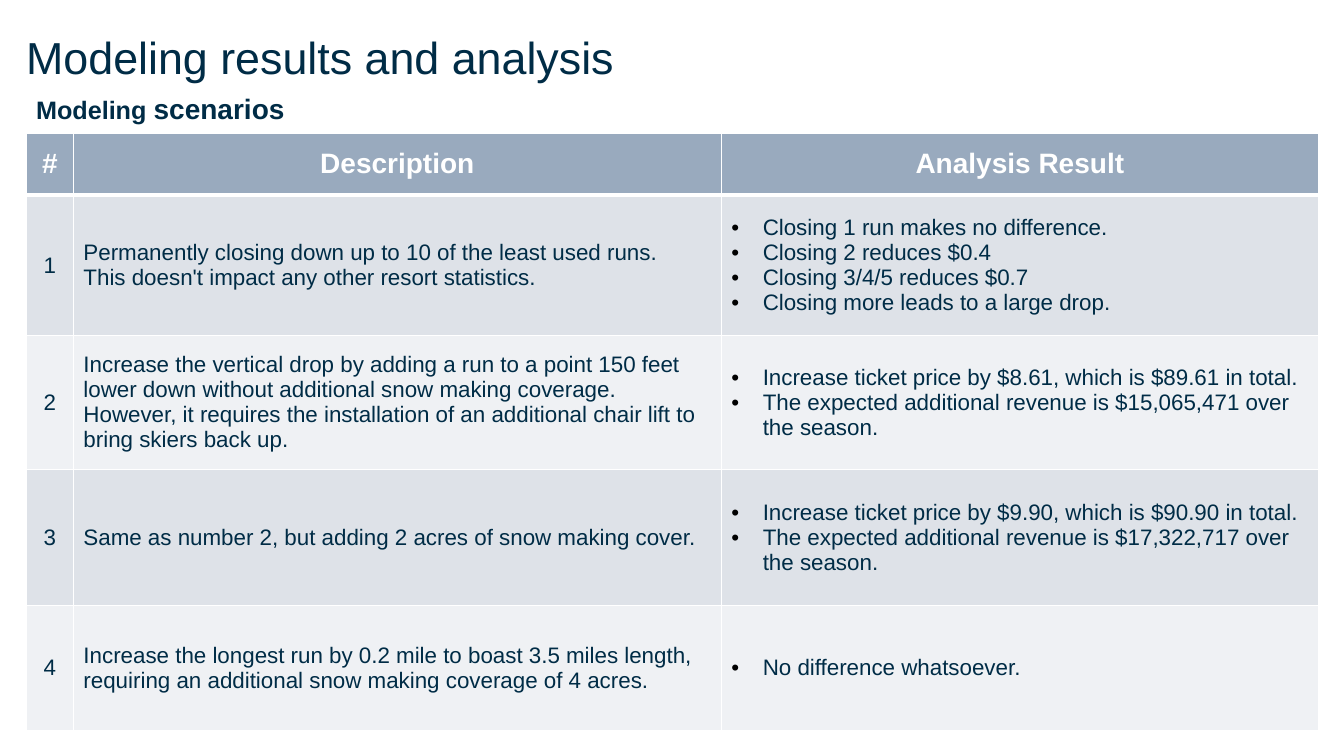
import pptx
import pptx.dml.color
import pptx.enum.text
import pptx.oxml.ns
import pptx.util
from dataclasses import dataclass
from lxml import etree

Cm = pptx.util.Cm
Pt = pptx.util.Pt
ALIGN = pptx.enum.text.PP_ALIGN
MIDDLE = pptx.enum.text.MSO_ANCHOR.MIDDLE


@dataclass(frozen=True)
class Theme:
    font: str = "Arial"
    navy: str = "002C46"
    white: str = "FFFFFF"
    black: str = "000000"
    header_fill: str = "99AABE"
    band_fills: tuple = ("DEE2E8", "EFF1F4")
    title_size: int = 32
    heading_size: int = 20
    subtitle_size: int = 18
    body_size: int = 16
    rule: int = 1
    header_rule: int = 3


COLUMN_WIDTHS = (1.19, 16.33, 15.05)
ROW_HEIGHTS = (1.57, 3.53, 3.38, 3.43, 3.15)
HEADINGS = ("#", "Description", "Analysis Result")
SCENARIOS = (
    (("Permanently closing down up to 10 of the least used runs.",
      "This doesn't impact any other resort statistics."),
     ("Closing 1 run makes no difference.",
      "Closing 2 reduces $0.4",
      "Closing 3/4/5 reduces $0.7",
      "Closing more leads to a large drop.")),
    (("Increase the vertical drop by adding a run to a point 150 feet lower down "
      "without additional snow making coverage.",
      "However, it requires the installation of an additional chair lift to bring "
      "skiers back up."),
     ("Increase ticket price by $8.61, which is $89.61 in total.",
      "The expected additional revenue is $15,065,471 over the season.")),
    (("Same as number 2, but adding 2 acres of snow making cover.",),
     ("Increase ticket price by $9.90, which is $90.90 in total.",
      "The expected additional revenue is $17,322,717 over the season.")),
    (("Increase the longest run by 0.2 mile to boast 3.5 miles length, requiring "
      "an additional snow making coverage of 4 acres.",),
     ("No difference whatsoever.",)),
)


class SlideBuilder:
    def __init__(self, slide, theme):
        self.slide = slide
        self.theme = theme

    def add_run(self, paragraph, text, size, color, bold=False):
        run = paragraph.add_run()
        run.text = text
        run.font.name = self.theme.font
        run.font.size = Pt(size)
        run.font.bold = bold
        run.font.color.rgb = pptx.dml.color.RGBColor.from_string(color)

    def add_heading(self, left, top, width, height, runs, inset=None):
        """Add one line of navy text; runs holds (text, size, bold) tuples."""
        box = self.slide.shapes.add_textbox(Cm(left), Cm(top), Cm(width), Cm(height))
        frame = box.text_frame
        frame.word_wrap = True
        if inset is not None:
            frame.margin_left = frame.margin_right = Cm(inset)
            frame.margin_top = frame.margin_bottom = Cm(inset)
            frame.vertical_anchor = MIDDLE
        for text, size, bold in runs:
            self.add_run(frame.paragraphs[0], text, size, self.theme.navy, bold)

    def add_table(self, left, top, column_widths, row_heights):
        table = self.slide.shapes.add_table(
            len(row_heights), len(column_widths), Cm(left), Cm(top),
            Cm(sum(column_widths)), Cm(sum(row_heights))).table
        table.horz_banding = False
        for column, width in zip(table.columns, column_widths):
            column.width = Cm(width)
        for row, height in zip(table.rows, row_heights):
            row.height = Cm(height)
        return table

    def set_borders(self, cell, top, bottom):
        properties = cell._tc.get_or_add_tcPr()
        widths = {"L": self.theme.rule, "R": self.theme.rule, "T": top, "B": bottom}
        for side, width in widths.items():
            line = etree.SubElement(properties, pptx.oxml.ns.qn(f"a:ln{side}"),
                                    w=str(Pt(width)))
            fill = etree.SubElement(line, pptx.oxml.ns.qn("a:solidFill"))
            etree.SubElement(fill, pptx.oxml.ns.qn("a:srgbClr"), val=self.theme.white)

    def set_bullet(self, paragraph):
        properties = paragraph._p.get_or_add_pPr()
        properties.set("marL", str(Cm(0.79)))
        properties.set("indent", str(-Cm(0.79)))
        color = etree.SubElement(properties, pptx.oxml.ns.qn("a:buClr"))
        etree.SubElement(color, pptx.oxml.ns.qn("a:srgbClr"), val=self.theme.black)
        etree.SubElement(properties, pptx.oxml.ns.qn("a:buFont"), typeface=self.theme.font)
        etree.SubElement(properties, pptx.oxml.ns.qn("a:buChar"), char="•")

    def fill_cell(self, cell, row, lines, centered=False, bulleted=False):
        """Style a cell by its row number (0 is the header) and write its lines."""
        theme = self.theme
        is_header = row == 0
        self.set_borders(cell,
                         top=theme.header_rule if row == 1 else theme.rule,
                         bottom=theme.header_rule if is_header else theme.rule)
        fill = theme.header_fill if is_header else theme.band_fills[(row - 1) % 2]
        cell.fill.solid()
        cell.fill.fore_color.rgb = pptx.dml.color.RGBColor.from_string(fill)
        cell.vertical_anchor = MIDDLE
        frame = cell.text_frame
        for index, line in enumerate(lines):
            paragraph = frame.add_paragraph() if index else frame.paragraphs[0]
            paragraph.alignment = ALIGN.CENTER if centered else ALIGN.LEFT
            if bulleted:
                self.set_bullet(paragraph)
            self.add_run(paragraph, line,
                         theme.heading_size if is_header else theme.body_size,
                         theme.white if is_header else theme.navy, is_header)


def main():
    deck = pptx.Presentation()
    deck.slide_width, deck.slide_height = Cm(33.87), Cm(19.05)
    theme = Theme()
    builder = SlideBuilder(deck.slides.add_slide(deck.slide_layouts[6]), theme)

    left, width = 0.66, sum(COLUMN_WIDTHS)
    builder.add_heading(left, 0.66, width, 1.52,
                        [("Modeling results and analysis", theme.title_size, False)],
                        inset=0)
    builder.add_heading(left, 2.18, width, 1.12,
                        [("Modeling ", theme.subtitle_size, True),
                         ("scenarios", theme.heading_size, True)])

    scenarios = builder.add_table(left, 3.35, COLUMN_WIDTHS, ROW_HEIGHTS)
    for column, heading in enumerate(HEADINGS):
        builder.fill_cell(scenarios.cell(0, column), 0, [heading], centered=True)
    for number, (description, results) in enumerate(SCENARIOS, start=1):
        builder.fill_cell(scenarios.cell(number, 0), number, [str(number)], centered=True)
        builder.fill_cell(scenarios.cell(number, 1), number, description)
        builder.fill_cell(scenarios.cell(number, 2), number, results, bulleted=True)

    deck.save("out.pptx")


if __name__ == "__main__":
    main()
